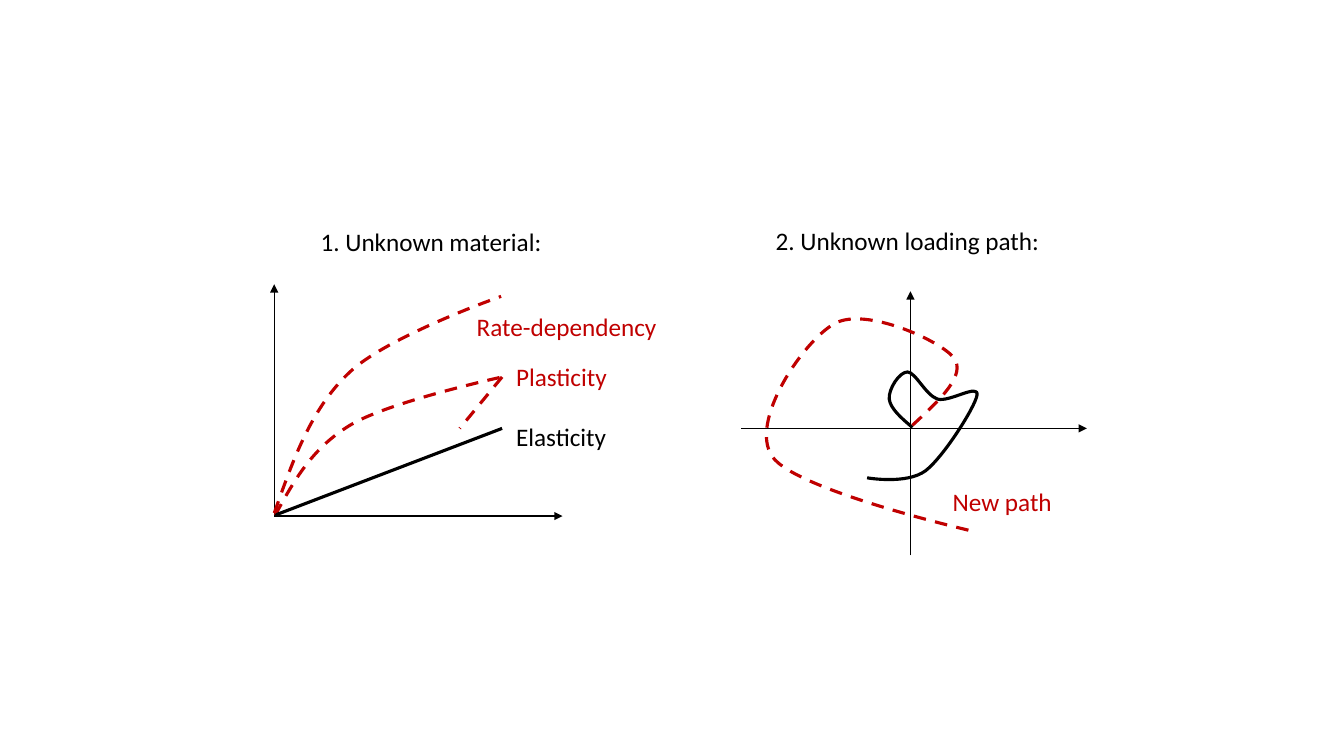
from dataclasses import dataclass

from pptx import Presentation
from pptx.dml.color import RGBColor
from pptx.enum import dml, text
from pptx.oxml import ns
from pptx.oxml.xmlchemy import OxmlElement
from pptx.enum import shapes as kinds
from pptx.util import Inches, Pt


@dataclass(frozen=True)
class Theme:
    font: str = "Calibri"
    size: int = 18
    black: RGBColor = RGBColor(0x00, 0x00, 0x00)
    red: RGBColor = RGBColor(0xC0, 0x00, 0x00)
    axis: float = 1
    curve: float = 2.25


THEME = Theme()
LABEL_HEIGHT = 0.4


def style_line(line, color, width, dashed=False):
    line.color.rgb = color
    line.width = Pt(width)
    if dashed:
        line.dash_style = dml.MSO_LINE.DASH


def add_label(parent, words, left, top, width, color=THEME.black,
              align=text.PP_ALIGN.LEFT):
    label = parent.add_textbox(Inches(left), Inches(top), Inches(width),
                               Inches(LABEL_HEIGHT))
    frame = label.text_frame
    frame.word_wrap = False
    frame.auto_size = text.MSO_AUTO_SIZE.SHAPE_TO_FIT_TEXT
    paragraph = frame.paragraphs[0]
    paragraph.alignment = align
    run = paragraph.add_run()
    run.text = words
    run.font.name = THEME.font
    run.font.size = Pt(THEME.size)
    run.font.color.rgb = color


def add_segment(parent, start, end, color=THEME.black, width=THEME.curve,
                dashed=False):
    segment = parent.add_connector(kinds.MSO_CONNECTOR.STRAIGHT,
                                   *map(Inches, start + end))
    style_line(segment.line, color, width, dashed)
    segment.element.spPr.append(OxmlElement("a:effectLst"))
    return segment


def add_axis(parent, start, end):
    axis = add_segment(parent, start, end, width=THEME.axis)
    arrowhead = OxmlElement("a:tailEnd")
    arrowhead.set("type", "triangle")
    axis.line._get_or_add_ln().append(arrowhead)


def add_curve(parent, start, bends, color=THEME.red, dashed=True):
    """Draw cubic bends, each given as two control points and an end point."""
    builder = parent.build_freeform(*map(Inches, start))
    ends = [tuple(map(Inches, bend[2])) for bend in bends]
    builder.add_line_segments(ends, close=False)
    curve = builder.convert_to_shape()
    curve.shadow.inherit = False
    curve.fill.background()
    style_line(curve.line, color, THEME.curve, dashed)

    # Turn each straight segment into a cubic one
    segments = list(curve.element.iter(ns.qn("a:lnTo")))
    left = min(Inches(start[0]), *(x for x, _ in ends))
    top = min(Inches(start[1]), *(y for _, y in ends))
    for segment, bend in zip(segments, bends):
        cubic = OxmlElement("a:cubicBezTo")
        for x, y in bend:
            point = OxmlElement("a:pt")
            point.set("x", str(Inches(x) - left))
            point.set("y", str(Inches(y) - top))
            cubic.append(point)
        segment.getparent().replace(segment, cubic)


def add_material_chart(parent):
    origin = (2.72, 5.12)
    add_axis(parent, origin, (5.58, 5.12))
    add_axis(parent, origin, (2.72, 2.82))

    # Plasticity, elasticity and rate-dependency
    add_curve(parent, (2.73, 5.11), [
        ((2.91, 4.78), (3.09, 4.45), (3.47, 4.22)),
        ((3.84, 3.99), (4.98, 3.74), (4.98, 3.74))])
    add_segment(parent, (4.98, 4.25), (2.73, 5.11))
    add_curve(parent, (2.72, 5.09), [
        ((2.9, 4.58), (3.08, 4.06), (3.46, 3.7)),
        ((3.83, 3.34), (4.97, 2.94), (4.97, 2.94))])

    add_label(parent, "Elasticity", 5.02, 4.13, 1.13)
    add_label(parent, "Plasticity", 5.02, 3.54, 1.14, THEME.red)
    add_label(parent, "Rate-dependency", 4.63, 3.04, 2.03, THEME.red)


def add_loading_chart(parent):
    add_axis(parent, (7.35, 4.25), (10.78, 4.25))
    add_axis(parent, (9.03, 5.51), (9.03, 2.89))

    # Known path, then new path
    add_curve(parent, (9.05, 4.24), [
        ((8.94, 4.15), (8.83, 4.05), (8.82, 3.96)),
        ((8.81, 3.86), (8.92, 3.69), (9, 3.69)),
        ((9.08, 3.69), (9.18, 3.92), (9.3, 3.96)),
        ((9.42, 3.99), (9.71, 3.8), (9.69, 3.92)),
        ((9.67, 4.04), (9.36, 4.53), (9.18, 4.67)),
        ((8.99, 4.81), (8.6, 4.74), (8.6, 4.74))], THEME.black, dashed=False)
    add_curve(parent, (9.05, 4.22), [
        ((9.32, 3.97), (9.59, 3.72), (9.46, 3.55)),
        ((9.33, 3.38), (8.58, 3.04), (8.28, 3.21)),
        ((7.98, 3.37), (7.42, 4.18), (7.66, 4.53)),
        ((7.89, 4.87), (9.69, 5.28), (9.69, 5.28))])
    add_label(parent, "New path", 9.35, 4.78, 1.22, THEME.red)


def main():
    deck = Presentation()
    deck.slide_width, deck.slide_height = Inches(13.33), Inches(7.5)
    slide = deck.slides.add_slide(deck.slide_layouts[6])

    # Panel headings
    center = text.PP_ALIGN.CENTER
    add_label(slide.shapes, "1. Unknown material:", 3.04, 2.2, 2.47,
              align=center)
    add_label(slide.shapes, "2. Unknown loading path:", 7.55, 2.19, 2.9,
              align=center)

    # Panels
    add_material_chart(slide.shapes.add_group_shape().shapes)
    add_loading_chart(slide.shapes)

    # Unloading branch of the plasticity curve
    add_segment(slide.shapes, (4.98, 3.74), (4.56, 4.25), THEME.red,
                dashed=True)
    deck.save("out.pptx")


if __name__ == "__main__":
    main()
